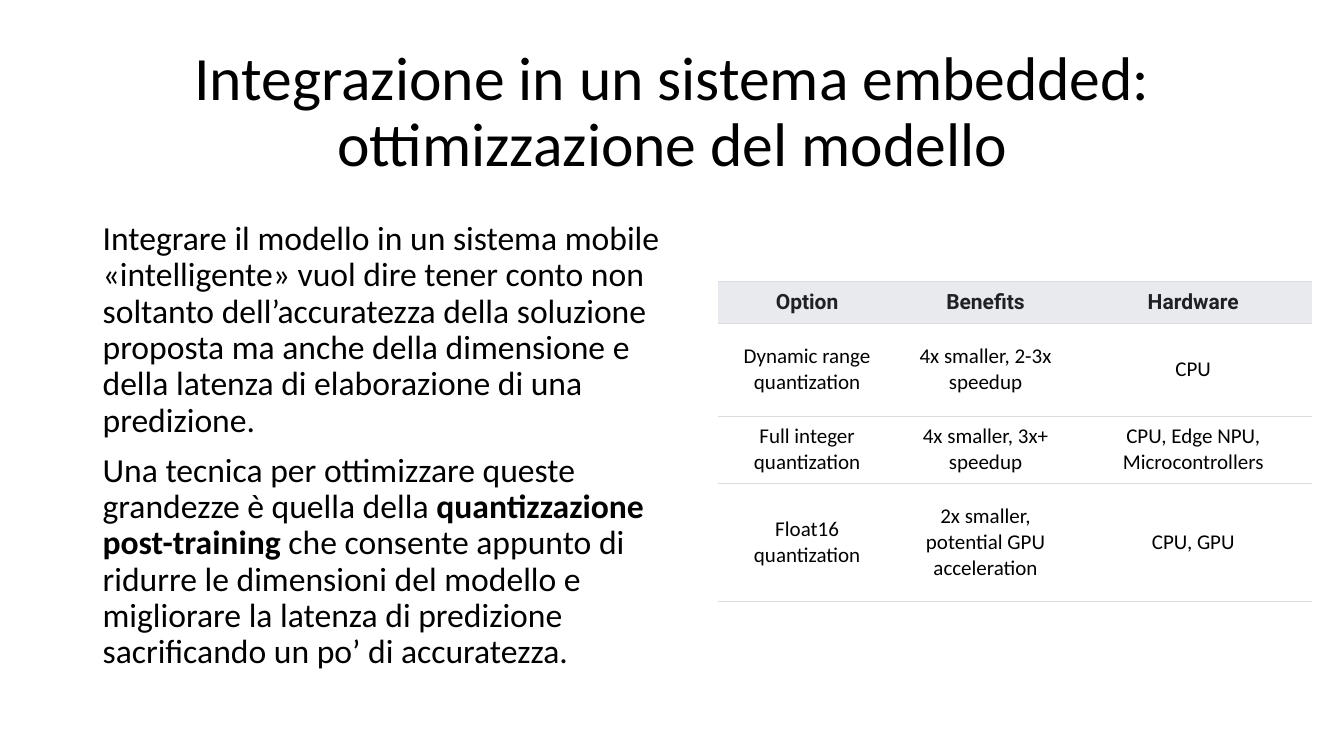
"""Build a slide on model optimisation with a table of quantization options."""
from lxml import etree
from pptx import Presentation
from pptx.dml.color import RGBColor
from pptx.enum.text import MSO_ANCHOR, MSO_AUTO_SIZE, PP_ALIGN
from pptx.oxml import parse_xml
from pptx.oxml.ns import nsdecls, qn
from pptx.util import Inches, Pt

BLACK = RGBColor(0x00, 0x00, 0x00)
INK = RGBColor(0x20, 0x21, 0x24)
GREY = RGBColor(0xE8, 0xEA, 0xED)
RULE = RGBColor(0xDA, 0xDC, 0xE0)
MIDDLE = MSO_ANCHOR.MIDDLE
CENTER = PP_ALIGN.CENTER
NO_FIT = MSO_AUTO_SIZE.NONE
NO_STYLE = "{2D5ABB26-0587-4C30-8999-92F81FD0307C}"

TITLE = ["Integrazione in un sistema embedded:", "ottimizzazione del modello"]
BODY = [
    [("Integrare il modello in un sistema mobile «intelligente» vuol dire tener conto "
      "non soltanto dell’accuratezza della soluzione proposta ma anche della dimensione "
      "e della latenza di elaborazione di una predizione.", False)],
    [("Una tecnica per ottimizzare queste grandezze è quella della ", False),
     ("quantizzazione post-training", True),
     (" che consente appunto di ridurre le dimensioni del modello e migliorare la "
      "latenza di predizione sacrificando un po’ di accuratezza.", False)],
]
ROWS = [
    ("Option", "Benefits", "Hardware"),
    ("Dynamic range quantization", "4x smaller, 2-3x speedup", "CPU"),
    ("Full integer quantization", "4x smaller, 3x+ speedup",
     "CPU, Edge NPU, Microcontrollers"),
    ("Float16 quantization", "2x smaller, potential GPU acceleration", "CPU, GPU"),
]
WIDTHS = [1.77, 1.77, 2.35]
HEIGHTS = [0.42, 0.92, 0.67, 1.17]


def set_font(para, size, name="Calibri", color=BLACK):
    para.font.size = Pt(size)
    para.font.name = name
    para.font.color.rgb = color


def add_rules(cell):
    props = cell._tc.get_or_add_tcPr()
    for place, side in enumerate(("lnT", "lnB")):
        props.insert(place, parse_xml(
            f'<a:{side} {nsdecls("a")} w="{Pt(0.75)}"><a:solidFill>'
            f'<a:srgbClr val="{RULE}"/></a:solidFill></a:{side}>'))


deck = Presentation()
deck.slide_width, deck.slide_height = Inches(13.33), Inches(7.5)
slide = deck.slides.add_slide(deck.slide_layouts[5])

title = slide.shapes.title
title.left, title.top = Inches(0.92), Inches(0.4)
title.width, title.height = Inches(11.5), Inches(1.45)
frame = title.text_frame
frame.auto_size = NO_FIT
frame.vertical_anchor = MIDDLE
para = frame.paragraphs[0]
para.add_run().text = TITLE[0]
para.add_line_break()
para.add_run().text = TITLE[1]
para.alignment = CENTER
para.line_spacing = 0.9
set_font(para, 44)

body = slide.shapes.add_textbox(Inches(0.92), Inches(2.15), Inches(5.9), Inches(4.76))
frame = body.text_frame
frame.word_wrap = True
for index, parts in enumerate(BODY):
    para = frame.add_paragraph() if index else frame.paragraphs[0]
    para.line_spacing = 0.9
    para.space_before = Pt(10)
    set_font(para, 24)
    for text, bold in parts:
        run = para.add_run()
        run.text = text
        run.font.bold = bold

holder = slide.shapes.add_table(len(ROWS), len(WIDTHS), Inches(7.12), Inches(2.79),
                                Inches(sum(WIDTHS)), Inches(sum(HEIGHTS)))
table = holder.table
table.first_row = table.horz_banding = False
table._tbl.tblPr.find(qn("a:tableStyleId")).text = NO_STYLE
for column, width in zip(table.columns, WIDTHS):
    column.width = Inches(width)
for r, (texts, height) in enumerate(zip(ROWS, HEIGHTS)):
    table.rows[r].height = Inches(height)
    for c, text in enumerate(texts):
        cell = table.cell(r, c)
        cell.text = text
        cell.vertical_anchor = MIDDLE
        cell.margin_left = cell.margin_right = cell.margin_bottom = Inches(0.07)
        cell.margin_top = Inches(0.06 if r else 0.07)
        para = cell.text_frame.paragraphs[0]
        para.alignment = CENTER
        if r:
            set_font(para, 15)
            cell.fill.background()
        else:
            set_font(para, 15, "Roboto", INK)
            para.font.bold = True
            cell.fill.solid()
            cell.fill.fore_color.rgb = GREY
        add_rules(cell)

deck.save("out.pptx")
